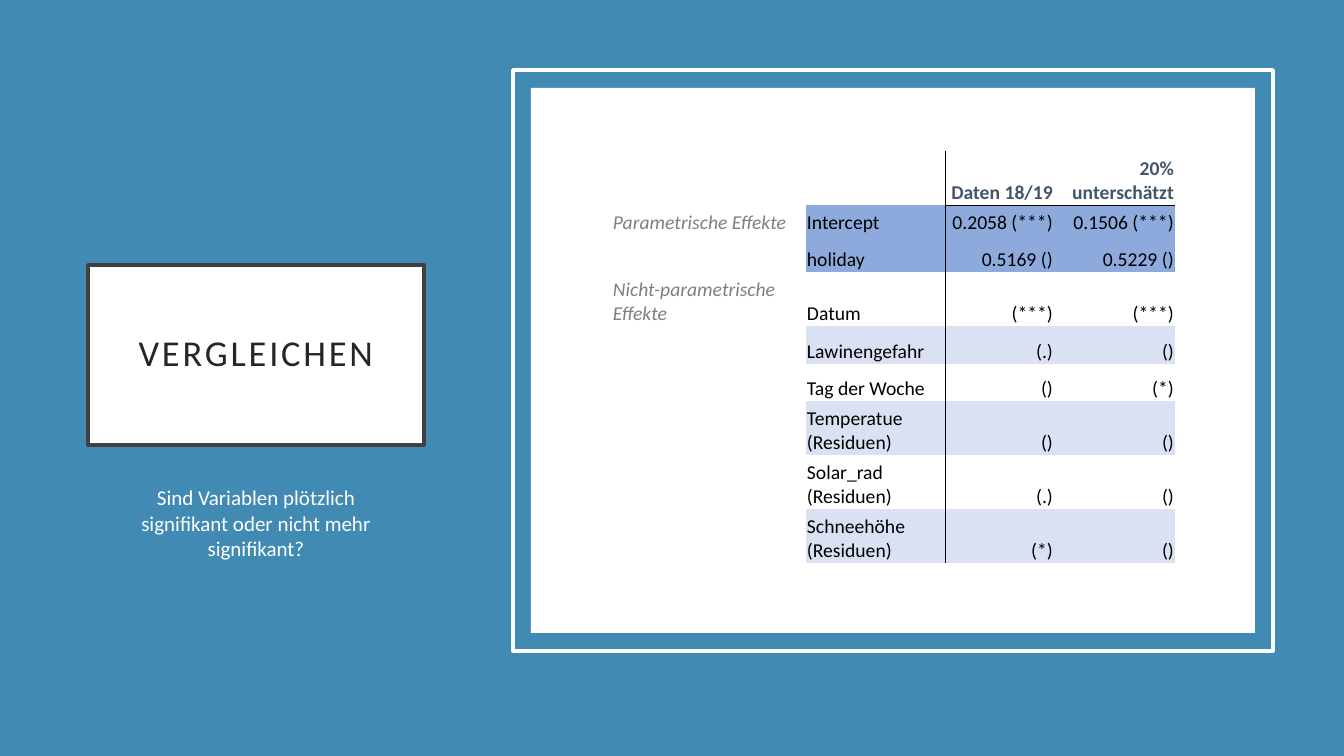
from lxml import etree
from pptx import Presentation
from pptx import util as u
from pptx.dml.color import RGBColor
from pptx.enum import shapes, text
from pptx.oxml.ns import qn

PX = 914400 / 100.8
FONT = "Calibri"
BLUE = RGBColor(0x41, 0x8A, 0xB3)
WHITE = RGBColor(0xFF, 0xFF, 0xFF)
BLACK = RGBColor(0x00, 0x00, 0x00)
CHARCOAL = RGBColor(0x40, 0x40, 0x40)
TITLE_INK = RGBColor(0x26, 0x26, 0x26)
HEADER_INK = RGBColor(0x44, 0x54, 0x6A)
GREY = RGBColor(0x7F, 0x7F, 0x7F)
STRONG_BAND = RGBColor(0x8E, 0xA9, 0xDB)
LIGHT_BAND = RGBColor(0xD9, 0xE1, 0xF2)

COLUMNS = [194, 139, 109, 121]
# Row height, band colour, cell texts
ROWS = [
    (54, None, ["", "", "Daten 18/19", "20% unterschätzt"]),
    (30, STRONG_BAND, ["Parametrische Effekte", "Intercept", "0.2058 (***)", "0.1506 (***)"]),
    (37, STRONG_BAND, ["", "holiday", "0.5169 ()", "0.5229 ()"]),
    (54, None, ["Nicht-parametrische Effekte", "Datum", "(***)", "(***)"]),
    (38, LIGHT_BAND, ["", "Lawinengefahr", "(.)", "()"]),
    (37, None, ["", "Tag der Woche", "()", "(*)"]),
    (54, LIGHT_BAND, ["", "Temperatue (Residuen)", "()", "()"]),
    (54, None, ["", "Solar_rad (Residuen)", "(.)", "()"]),
    (54, LIGHT_BAND, ["", "Schneehöhe (Residuen)", "(*)", "()"]),
]


def px(n):
    return u.Emu(round(n * PX))


def add_run(p, words, size, color, bold=False, italic=False):
    r = p.add_run()
    r.text = words
    f = r.font
    f.name, f.size, f.bold, f.italic = FONT, u.Pt(size), bold, italic
    f.color.rgb = color
    return r


def add_box(s, box, fill=None, line=None):
    sp = s.shapes.add_shape(shapes.MSO_SHAPE.RECTANGLE, *map(px, box))
    sp.shadow.inherit = False
    if fill is None:
        sp.fill.background()
    else:
        sp.fill.solid()
        sp.fill.fore_color.rgb = fill
    if line is None:
        sp.line.fill.background()
    else:
        sp.line.color.rgb = line
        sp.line.width = u.Pt(2.5)
    return sp


def set_borders(cell, sides):
    """Draw thin black borders on the given sides, none on the others."""
    tc_pr = cell._tc.get_or_add_tcPr()
    for i, side in enumerate("LRTB"):
        ln = etree.Element(qn(f"a:ln{side}"), w=str(u.Pt(0.5)))
        if side in sides:
            fill = etree.SubElement(ln, qn("a:solidFill"))
            etree.SubElement(fill, qn("a:srgbClr"), val=str(BLACK))
        else:
            etree.SubElement(ln, qn("a:noFill"))
        tc_pr.insert(i, ln)


def add_heading(s, x, y, w):
    # Title frame
    sp = add_box(s, (x, y, w, 180), WHITE, CHARCOAL)
    tf = sp.text_frame
    tf.word_wrap = True
    tf.vertical_anchor = text.MSO_ANCHOR.MIDDLE
    tf.margin_left = tf.margin_right = px(30)
    tf.margin_top = tf.margin_bottom = px(20)
    p = tf.paragraphs[0]
    p.alignment = text.PP_ALIGN.CENTER
    p.line_spacing = 0.9
    r = add_run(p, "VERGLEICHEN", 26, TITLE_INK)
    r.font._element.set("spc", "200")

    # Question below the title
    tf = s.shapes.add_textbox(px(x + 21), px(y + 215), px(w - 42), px(137)).text_frame
    tf.word_wrap = True
    p = tf.paragraphs[0]
    p.alignment = text.PP_ALIGN.CENTER
    add_run(p, "Sind Variablen plötzlich signifikant oder nicht mehr signifikant?", 15, WHITE)


def fill_cell(cell, row, col, words, band):
    cell.margin_left = cell.margin_right = cell.margin_top = px(1)
    cell.margin_bottom = 0
    cell.vertical_anchor = text.MSO_ANCHOR.BOTTOM
    if band is not None and col > 0:
        cell.fill.solid()
        cell.fill.fore_color.rgb = band
    else:
        cell.fill.background()

    sides = {1: "R", 2: "L"}.get(col, "")
    if col >= 2:
        sides += {0: "B", 1: "T"}.get(row, "")
    set_borders(cell, sides)

    p = cell.text_frame.paragraphs[0]
    p.alignment = text.PP_ALIGN.RIGHT if col >= 2 else text.PP_ALIGN.LEFT
    p.font.size = u.Pt(14)
    if words:
        color = HEADER_INK if row == 0 else GREY if col == 0 else BLACK
        add_run(p, words, 14, color, bold=row == 0, italic=col == 0)


def add_effects_table(s, x, y):
    height = sum(row[0] for row in ROWS)
    frame = s.shapes.add_table(len(ROWS), len(COLUMNS), px(x), px(y),
                               px(sum(COLUMNS)), px(height))
    table = frame.table
    table.first_row = table.horz_banding = False
    for column, width in zip(table.columns, COLUMNS):
        column.width = px(width)
    for i, (row_height, band, words) in enumerate(ROWS):
        table.rows[i].height = px(row_height)
        for j, word in enumerate(words):
            fill_cell(table.cell(i, j), i, j, word, band)


def add_panel(s, x, y, w, h):
    # Outer frame, white panel and table
    gap = 18
    add_box(s, (x, y, w, h), line=WHITE)
    add_box(s, (x + gap, y + gap, w - 2 * gap, h - 2 * gap), WHITE)
    add_effects_table(s, x + 99, y + 81)


def main():
    prs = Presentation()
    prs.slide_width, prs.slide_height = px(1344), px(756)
    s = prs.slides.add_slide(prs.slide_layouts[6])
    s.background.fill.solid()
    s.background.fill.fore_color.rgb = BLUE
    add_heading(s, 88, 265, 336)
    add_panel(s, 513, 70, 760, 581)
    prs.save("out.pptx")


if __name__ == "__main__":
    main()
